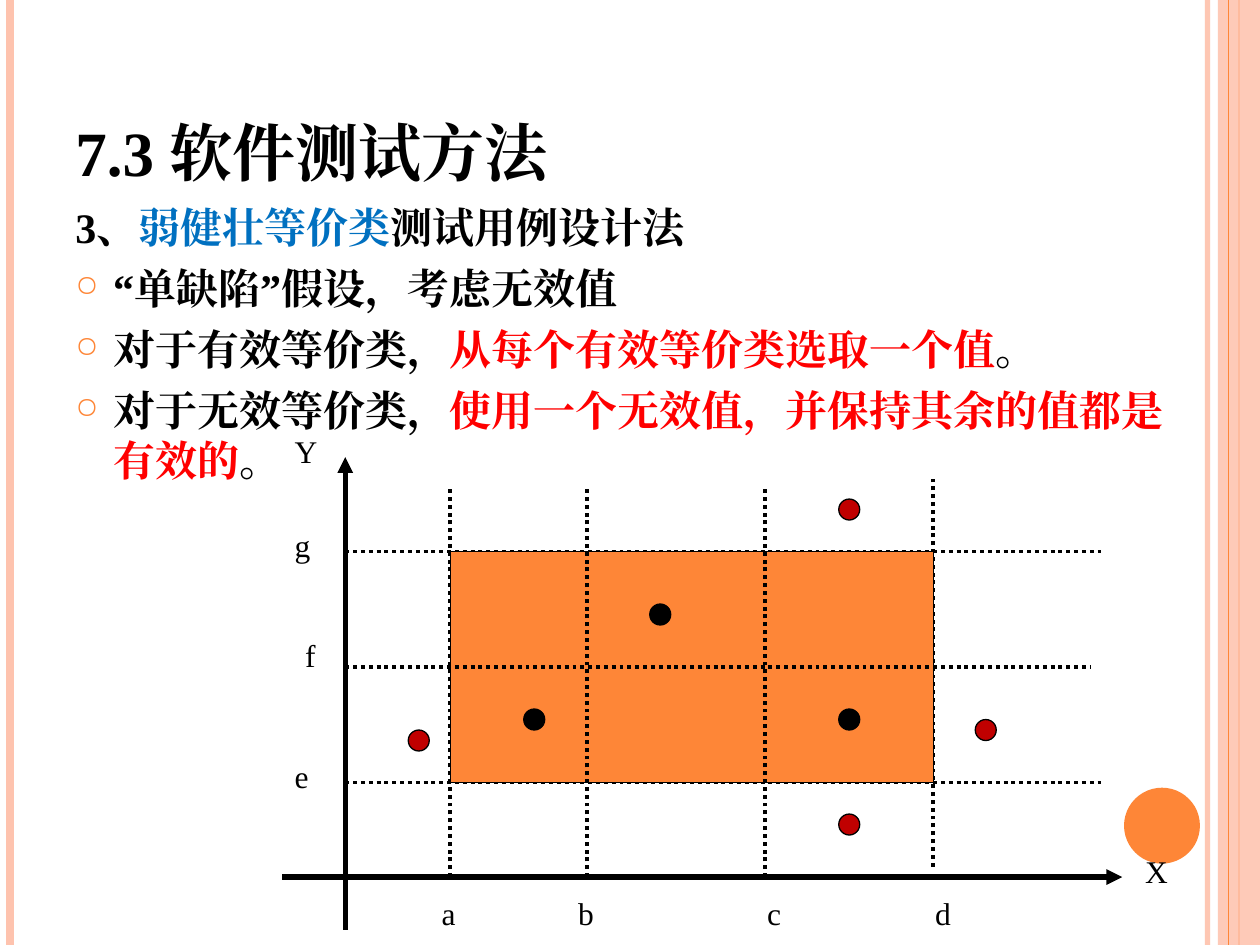
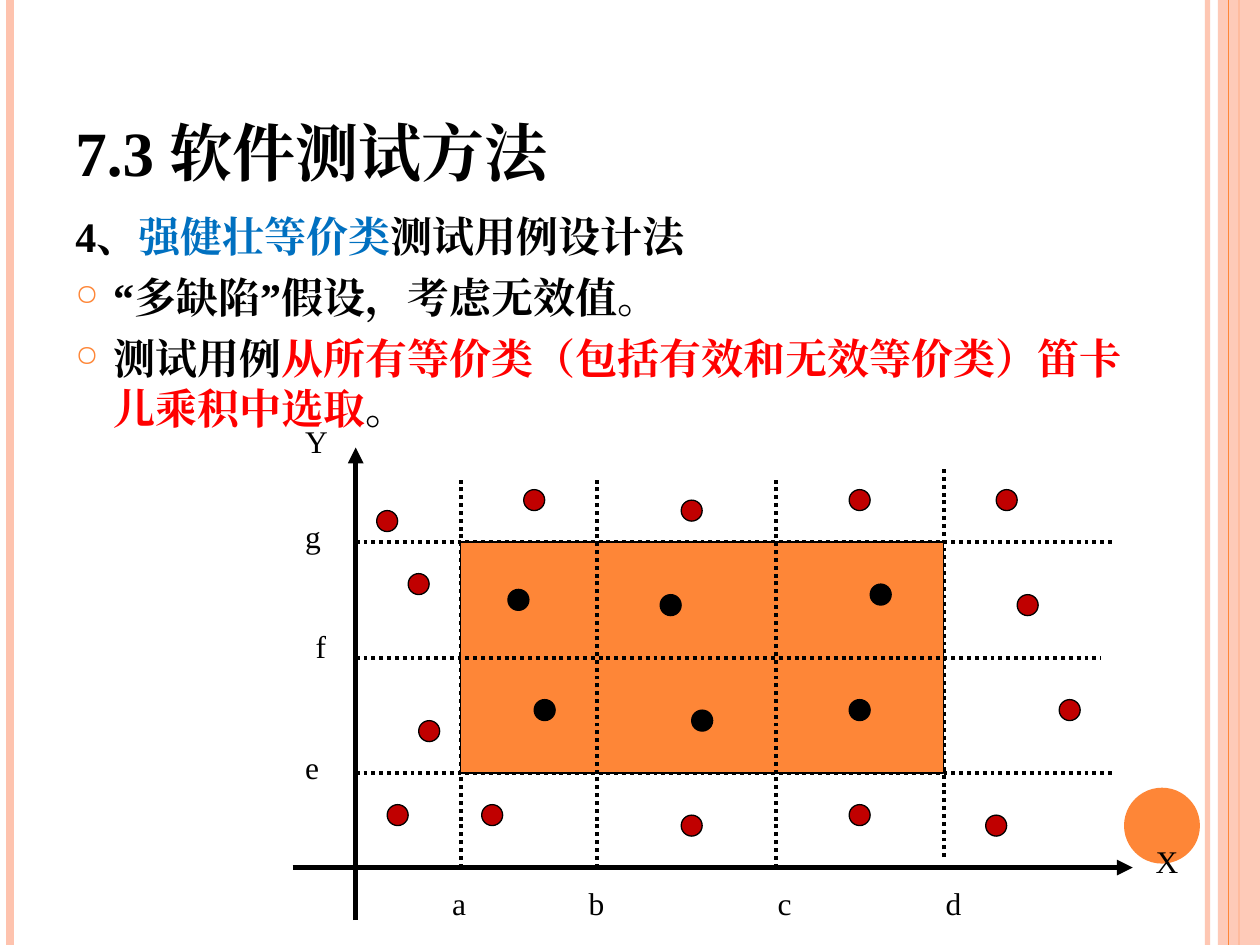
from lxml import etree
from pptx import Presentation
from pptx.dml.color import RGBColor
from pptx.enum.dml import MSO_LINE
from pptx.enum.shapes import MSO_CONNECTOR, MSO_SHAPE
from pptx.enum.text import MSO_ANCHOR
from pptx.oxml.ns import qn
from pptx.util import Cm, Pt

STRAIGHT = MSO_CONNECTOR.STRAIGHT
RECTANGLE = MSO_SHAPE.RECTANGLE
OVAL = MSO_SHAPE.OVAL
DOTTED = MSO_LINE.ROUND_DOT
TOP, BOTTOM = MSO_ANCHOR.TOP, MSO_ANCHOR.BOTTOM

BLACK = RGBColor(0x00, 0x00, 0x00)
ORANGE = RGBColor(0xFE, 0x86, 0x37)
PEACH = RGBColor(0xFE, 0xC3, 0xAE)
BLUE = RGBColor(0x00, 0x70, 0xC0)
RED = RGBColor(0xFF, 0x00, 0x00)
DARK_RED = RGBColor(0xC0, 0x00, 0x00)

FONT = "Times New Roman"
WIDTH, HEIGHT = 25.4, 19.05
INDENT = 0.76
STEP = 2.54 / 12  # one diagram grid step in centimetres

TITLE = "7.3 软件测试方法"
X_LINES = {"a": 10, "b": 23, "c": 40, "d": 56}
Y_LINES = {"e": 9, "f": 20, "g": 31}
LABELS = {
    "a": (8, -1), "b": (21, -1), "c": (39, -1), "d": (55, -1), "X": (75, 3),
    "e": (-6, 12), "f": (-5, 23.5), "g": (-6, 34), "Y": (-6, 43),
}


def add_element(parent, tag, **attributes):
    return etree.SubElement(parent, qn(tag), attributes)


def set_opacity(fill, percent):
    """Make a solid fill element partly transparent."""
    add_element(fill.find(qn("a:srgbClr")), "a:alpha", val=str(percent * 1000))


class SlideBuilder:
    """Holds the presentation, the current slide and its diagram origin."""

    def __init__(self):
        self.presentation = Presentation()
        self.presentation.slide_width = Cm(WIDTH)
        self.presentation.slide_height = Cm(HEIGHT)
        self.slide = None
        self.origin = (0, 0)

    def new_slide(self):
        layout = self.presentation.slide_layouts[6]
        self.slide = self.presentation.slides.add_slide(layout)
        self.bands()
        self.text(1.27, 0.76, 20.75, 3.18, [[(TITLE, BLACK)]], 36, True, BOTTOM)

    def bands(self):
        self.vertical_band(24.34, PEACH, 3, 93)
        self.vertical_band(0.21, PEACH, 4.5)
        self.vertical_band(24.98, ORANGE, 1.5)
        strip = self.shape(RECTANGLE, 24.55, 0, 0.85, HEIGHT, PEACH)
        set_opacity(strip._element.spPr.find(qn("a:solidFill")), 87)
        self.vertical_band(24.77, ORANGE, 0.75)
        self.shape(OVAL, 22.66, 15.88, 1.53, 1.53, ORANGE)

    def vertical_band(self, x, color, weight, opacity=100):
        band = self.line((x, 0), (x, HEIGHT), color, weight)
        if opacity < 100:
            set_opacity(band.line._ln.find(qn("a:solidFill")), opacity)

    def line(self, start, end, color, weight, dash=None, arrow=False):
        connector = self.slide.shapes.add_connector(
            STRAIGHT, *(Cm(value) for value in (*start, *end)))
        connector.line.color.rgb = color
        connector.line.width = Pt(weight)
        if dash:
            connector.line.dash_style = dash
        if arrow:
            add_element(connector.line._ln, "a:tailEnd", type="triangle")
        add_element(connector._element.spPr, "a:effectLst")
        return connector

    def shape(self, kind, left, top, width, height, color, outlined=False):
        shape = self.slide.shapes.add_shape(
            kind, Cm(left), Cm(top), Cm(width), Cm(height))
        shape.shadow.inherit = False
        shape.fill.solid()
        shape.fill.fore_color.rgb = color
        if outlined:
            shape.line.color.rgb = BLACK
            shape.line.width = Pt(0.75)
        else:
            shape.line.fill.background()
        return shape

    def text(self, left, top, width, height, paragraphs, size, bold=False,
             anchor=TOP):
        """Add a text box; each paragraph is a list of (words, colour) runs."""
        frame = self.slide.shapes.add_textbox(
            Cm(left), Cm(top), Cm(width), Cm(height)).text_frame
        frame.word_wrap = True
        frame.vertical_anchor = anchor
        for number, runs in enumerate(paragraphs):
            paragraph = frame.add_paragraph() if number else frame.paragraphs[0]
            if len(paragraphs) > 1:
                self.hang(paragraph, bulleted=number > 0)
            paragraph.font.size = Pt(size)
            paragraph.font.bold = bold
            paragraph.font.name = FONT
            defaults = paragraph._p.pPr.find(qn("a:defRPr"))
            add_element(defaults, "a:ea", typeface=FONT)
            for words, color in runs:
                run = paragraph.add_run()
                run.text = words
                run.font.color.rgb = color

    def hang(self, paragraph, bulleted):
        """Give the paragraph a hanging indent and, if wanted, a ring bullet."""
        properties = paragraph._p.get_or_add_pPr()
        properties.set("marL", str(Cm(INDENT)))
        properties.set("indent", str(-Cm(INDENT)))
        if bulleted:
            paragraph.space_before = Pt(6)
            bullet_color = add_element(properties, "a:buClr")
            add_element(bullet_color, "a:srgbClr", val=str(ORANGE))
            add_element(properties, "a:buSzPct", val="70000")
            add_element(properties, "a:buChar", char="○")

    def point(self, x, y):
        """Turn grid steps from the origin, y upwards, into slide centimetres."""
        return self.origin[0] + x * STEP, self.origin[1] - y * STEP

    def axis(self, start, end):
        self.line(self.point(*start), self.point(*end), BLACK, 3, arrow=True)

    def boundary(self, name):
        if name in X_LINES:
            x, shift = X_LINES[name], int(name == "d")
            start, end = (x, shift), (x, 37 + shift)
        else:
            y = Y_LINES[name]
            start, end = (0, y), (71 if name == "f" else 72, y)
        self.line(self.point(*start), self.point(*end), BLACK, 2.25, DOTTED)

    def dot(self, x, y, color):
        left, top = self.point(x - 1, y + 1)
        self.shape(OVAL, left, top, 2 * STEP, 2 * STEP, color, outlined=True)

    def diagram(self, origin, valid_dots, invalid_dots):
        self.origin = origin
        self.axis((-6, 0), (74, 0))
        self.axis((0, -5), (0, 40))
        for name in "egad":
            self.boundary(name)
        left, top = self.point(X_LINES["a"], Y_LINES["g"])
        self.shape(RECTANGLE, left, top, (X_LINES["d"] - X_LINES["a"]) * STEP,
                   (Y_LINES["g"] - Y_LINES["e"]) * STEP, ORANGE, outlined=True)
        for name in "bcf":
            self.boundary(name)
        for name, position in LABELS.items():
            width = 1.5 if name.isupper() else 0.85
            self.text(*self.point(*position), width, 1.02, [[(name, BLACK)]], 18)
        for dots, color in ((valid_dots, BLACK), (invalid_dots, DARK_RED)):
            for x, y in dots:
                self.dot(x, y, color)


def weak_robust_slide(builder):
    builder.new_slide()
    builder.text(1.27, 3.94, 22.63, 6.4, [
        [("3、", BLACK), ("弱健壮等价类", BLUE), ("测试用例设计法", BLACK)],
        [("“单缺陷”假设，考虑无效值", BLACK)],
        [("对于有效等价类，", BLACK), ("从每个有效等价类选取一个值", RED),
         ("。", BLACK)],
        [("对于无效等价类，", BLACK),
         ("使用一个无效值，并保持其余的值都是有效的", RED), ("。", BLACK)],
    ], 24, bold=True)
    builder.diagram(
        (6.96, 17.68),
        valid_dots=[(48, 15), (18, 15), (30, 25)],
        invalid_dots=[(7, 13), (48, 35), (48, 5), (61, 14)])


def strong_robust_slide(builder):
    builder.new_slide()
    builder.text(1.27, 4.12, 22.23, 13.87, [
        [("4、", BLACK), ("强健壮等价类", BLUE), ("测试用例设计法", BLACK)],
        [("“多缺陷”假设，考虑无效值。", BLACK)],
        [("测试用例", BLACK),
         ("从所有等价类（包括有效和无效等价类）笛卡儿乘积中选取", RED),
         ("。", BLACK)],
    ], 24, bold=True)
    builder.diagram(
        (7.17, 17.49),
        valid_dots=[(48, 15), (18, 15), (30, 25), (33, 14), (50, 26),
                    (15.5, 25.5)],
        invalid_dots=[(7, 13), (48, 35), (48, 5), (32, 4), (61, 4), (68, 15),
                      (64, 25), (62, 35), (3, 33), (17, 35), (32, 34), (6, 27),
                      (4, 5), (13, 5)])


def main():
    builder = SlideBuilder()
    weak_robust_slide(builder)
    strong_robust_slide(builder)
    builder.presentation.save("out.pptx")


if __name__ == "__main__":
    main()
